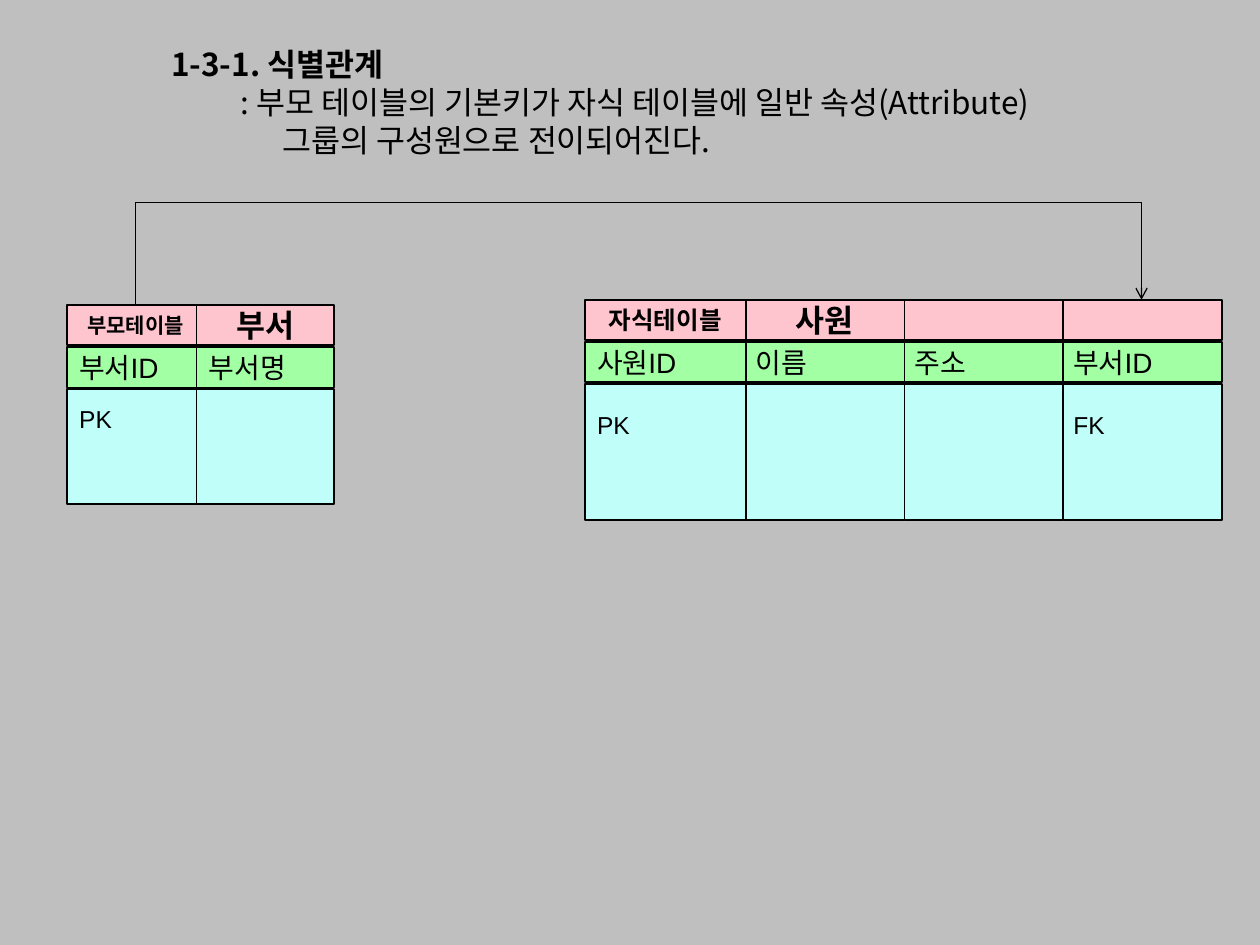
from lxml.etree import SubElement
from pptx import Presentation
from pptx.dml.color import RGBColor
from pptx.enum.shapes import MSO_CONNECTOR, MSO_SHAPE
from pptx.enum.text import MSO_ANCHOR, PP_ALIGN
from pptx.oxml.ns import qn
from pptx.util import Inches, Pt

GRAY = RGBColor(0xBF, 0xBF, 0xBF)
PINK = RGBColor(0xFF, 0xC5, 0xCF)
GREEN = RGBColor(0xA2, 0xFF, 0xA3)
CYAN = RGBColor(0xC0, 0xFE, 0xF9)
BLACK = RGBColor(0, 0, 0)
HANGUL = "Noto Sans CJK KR"

HEAD = "1-3-1. 식별관계"
BODY = [": 부모 테이블의 기본키가 자식 테이블에 일반 속성(Attribute)",
        "그룹의 구성원으로 전이되어진다."]

# Each column: heading, heading size, field, key
PARENT = dict(
    left=0.53, top=2.42, pitch=1.03, wide=1.09, deep=0.91, order=1,
    cols=[("부모테이블", 12, "부서ID", "PK"), ("부서", 18, "부서명", "")])
CHILD = dict(
    left=4.64, top=2.38, pitch=1.26, wide=1.28, deep=1.08, order=-1,
    cols=[("자식테이블", 14, "사원ID", "PK"), ("사원", 18, "이름", ""),
          ("", 18, "주소", ""), ("", 18, "부서ID", "FK")])
ROW, STEP = 0.32, 0.335
KEY_TEXT = 0.67  # room for three lines of key text
LINK_TOP = 1.61


def add_run(para, text, size, face="Arial", bold=False):
    run = para.add_run()
    run.text = text
    font = run.font
    font.name, font.size, font.bold = face, Pt(size), bold
    font.color.rgb = BLACK
    SubElement(font._element, qn("a:ea"), typeface=HANGUL)


def add_cell(slide, place, fill, text, size, head=False, inset=None):
    cell = slide.shapes.add_shape(MSO_SHAPE.RECTANGLE, *map(Inches, place))
    cell.shadow.inherit = False
    cell.fill.solid()
    cell.fill.fore_color.rgb = fill
    cell.line.color.rgb = BLACK
    cell.line.width = Pt(1)
    if not text:
        return
    frame = cell.text_frame
    frame.word_wrap = False
    frame.vertical_anchor = MSO_ANCHOR.MIDDLE
    if inset is not None:
        frame.vertical_anchor = MSO_ANCHOR.TOP
        frame.margin_top = Inches(inset)
    para = frame.paragraphs[0]
    para.alignment = PP_ALIGN.CENTER if head else PP_ALIGN.LEFT
    add_run(para, text, size, bold=head)


def add_grid(slide, left, top, pitch, wide, deep, order, cols):
    """Draw the columns; order -1 lets each column overlap the one to its right."""
    for i, (head, size, field, key) in list(enumerate(cols))[::order]:
        x = left + i * pitch
        add_cell(slide, (x, top, wide, ROW), PINK, head, size, head=True)
        add_cell(slide, (x, top + STEP, wide, ROW), GREEN, field, 16)
        add_cell(slide, (x, top + 2 * STEP, wide, deep), CYAN, key, 14,
                 inset=(deep - KEY_TEXT) / 2)


def add_title(slide):
    box = slide.shapes.add_textbox(
        Inches(0.7), Inches(0.31), Inches(8.71), Inches(1))
    frame = box.text_frame
    frame.word_wrap = True
    for lines, margin, first in (([HEAD], 0.56, 0), (BODY, 1.44, -0.33)):
        para = frame.paragraphs[0] if lines[0] == HEAD else frame.add_paragraph()
        props = para._p.get_or_add_pPr()
        props.set("marL", str(Inches(margin)))
        props.set("indent", str(Inches(first)))
        for i, line in enumerate(lines):
            if i:
                para.add_line_break()
            add_run(para, line, 18, HANGUL, bold=lines[0] == HEAD)


def add_link(slide):
    """Join the parent key to the child key with a quarter-turned elbow."""
    x1 = PARENT["left"] + PARENT["wide"] / 2
    x2 = CHILD["left"] + 3 * CHILD["pitch"] + CHILD["wide"] / 2
    y1, y2 = PARENT["top"], CHILD["top"]
    mid_x, mid_y = (x1 + x2) / 2, (y1 + y2) / 2
    dx, dy = (y1 - y2) / 2, (x2 - x1) / 2
    link = slide.shapes.add_connector(
        MSO_CONNECTOR.ELBOW, Inches(mid_x + dx), Inches(mid_y + dy),
        Inches(mid_x - dx), Inches(mid_y - dy))
    link.line.color.rgb = BLACK
    link.line.width = Pt(0.75)
    props = link._element.spPr
    props.find(qn("a:xfrm")).set("rot", str(90 * 60000))
    guides = props.find(qn("a:prstGeom")).find(qn("a:avLst"))
    bend = round((y1 - LINK_TOP) / (y1 - y2) * 100000)
    SubElement(guides, qn("a:gd"), name="adj1", fmla=f"val {bend}")
    SubElement(link.line._get_or_add_ln(), qn("a:tailEnd"), type="arrow")
    SubElement(props, qn("a:effectLst"))


def main():
    deck = Presentation()
    deck.slide_width, deck.slide_height = Inches(10), Inches(7.5)
    slide = deck.slides.add_slide(deck.slide_layouts[6])
    slide.background.fill.solid()
    slide.background.fill.fore_color.rgb = GRAY
    add_title(slide)
    for grid in (PARENT, CHILD):
        add_grid(slide, **grid)
    add_link(slide)
    deck.save("out.pptx")


if __name__ == "__main__":
    main()
